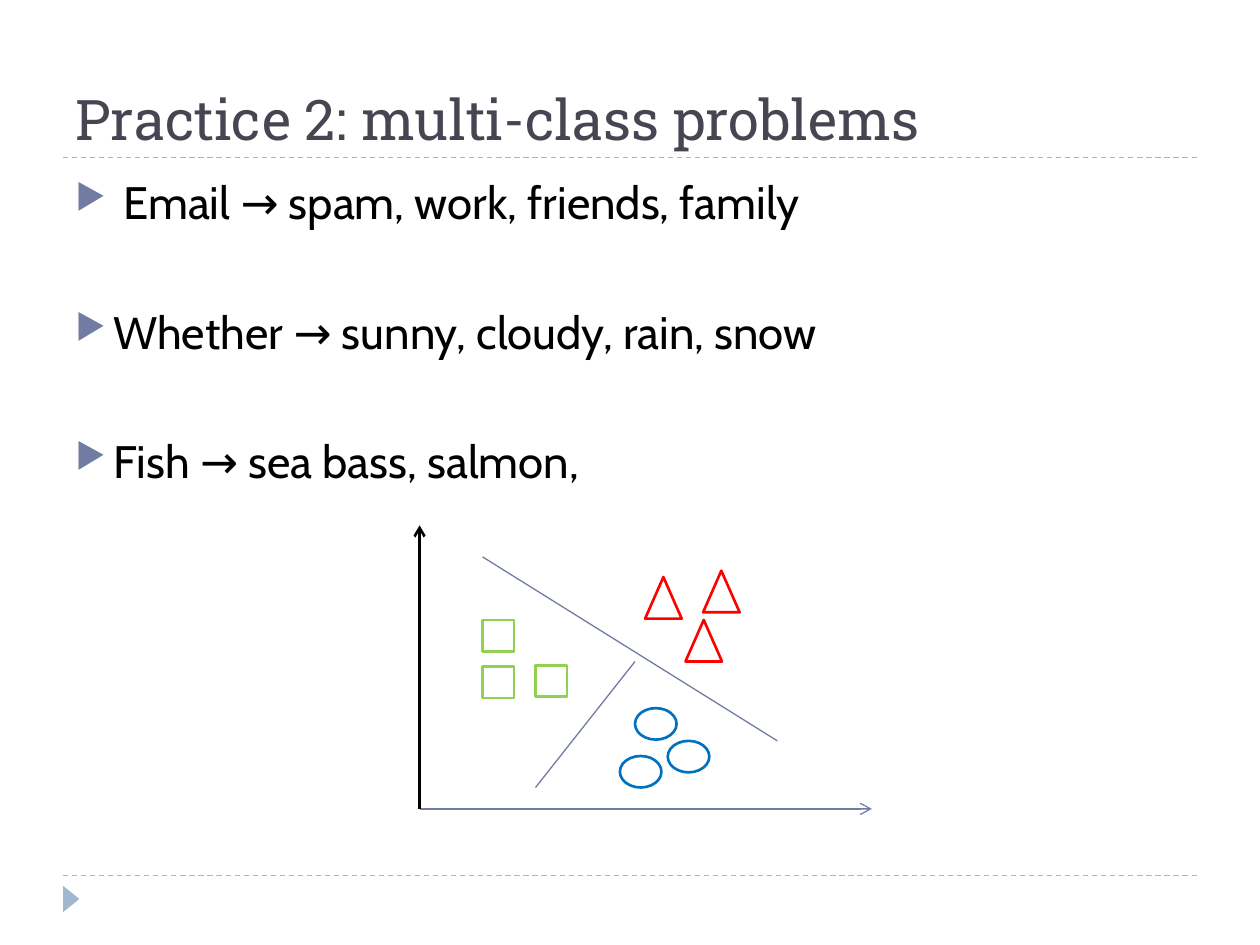
import pptx
import pptx.dml.color
import pptx.enum.dml
import pptx.enum.shapes
import pptx.enum.text
import pptx.oxml
import pptx.oxml.ns
import pptx.util

Inches = pptx.util.Inches
Pt = pptx.util.Pt
RGBColor = pptx.dml.color.RGBColor
Shape = pptx.enum.shapes.MSO_SHAPE
Anchor = pptx.enum.text.MSO_ANCHOR

WHITE = RGBColor(0xFF, 0xFF, 0xFF)
BLACK = RGBColor(0, 0, 0)
SLATE = RGBColor(0x46, 0x46, 0x53)
INDIGO = RGBColor(0x72, 0x7C, 0xA3)
MIST = RGBColor(0x9F, 0xB8, 0xCD)
GREEN = RGBColor(0x92, 0xD0, 0x50)
BLUE = RGBColor(0x00, 0x70, 0xC0)
RED = RGBColor(0xFF, 0, 0)

TITLE_FONT = {"name": "Roboto Slab", "size": Pt(32)}
BODY_FONT = {"name": "Cabin", "size": Pt(26)}

BULLETS = [
    " Email → spam, work, friends, family",
    "Whether → sunny, cloudy, rain, snow",
    "Fish → sea bass, salmon,",
]

# Each class: shape, colour, marker size, marker corners
CLASSES = [
    (Shape.RECTANGLE, GREEN, (0.25, 0.25), [(3.83, 4.92), (3.83, 5.29), (4.25, 5.28)]),
    (Shape.OVAL, BLUE, (0.33, 0.25), [(4.92, 6), (5.3, 5.88), (5.04, 5.62)]),
    (Shape.ISOSCELES_TRIANGLE, RED, (0.29, 0.33), [(5.12, 4.58), (5.58, 4.53), (5.44, 4.92)]),
]


def set_values(target, values):
    for name, value in values.items():
        setattr(target, name, value)


def add_xml(parent, tag, **attributes):
    child = pptx.oxml.ns.qn(tag)
    element = parent.makeelement(child, attributes)
    parent.append(element)
    return element


def add_text(page, place, lines, font, color, anchor=Anchor.TOP):
    box = page.shapes.add_textbox(*map(Inches, place))
    frame = box.text_frame
    set_values(frame, {"word_wrap": True, "vertical_anchor": anchor})
    for index, line in enumerate(lines):
        para = frame.paragraphs[0] if index == 0 else frame.add_paragraph()
        span = para.add_run()
        span.text = line
        set_values(span.font, font)
        span.font.color.rgb = color
    return frame


def add_bullet(para):
    properties = para._p.get_or_add_pPr()
    properties.set("marL", str(Inches(0.3)))
    properties.set("indent", str(Inches(-0.3)))
    bullet_color = add_xml(properties, "a:buClr")
    add_xml(bullet_color, "a:srgbClr", val=str(INDIGO))
    add_xml(properties, "a:buSzPct", val="76000")
    add_xml(properties, "a:buChar", char="▶")


def add_line(page, start, end, color, width=0.75, dashed=False, arrow=False):
    points = map(Inches, (*start, *end))
    line = page.shapes.add_connector(pptx.enum.shapes.MSO_CONNECTOR.STRAIGHT, *points)
    line.line.color.rgb = color
    line.line.width = Pt(width)
    if dashed:
        line.line.dash_style = pptx.enum.dml.MSO_LINE.DASH
    if arrow:
        add_xml(line.line._get_or_add_ln(), "a:tailEnd", type="arrow")
    add_xml(line._element.spPr, "a:effectLst")


def add_marker(page, kind, place, fill, outline=None):
    shape = page.shapes.add_shape(kind, *map(Inches, place))
    shape.shadow.inherit = False
    shape.fill.solid()
    shape.fill.fore_color.rgb = fill
    if outline is None:
        shape.line.fill.background()
    else:
        shape.line.color.rgb = outline
        shape.line.width = Pt(1.5)
    return shape


def add_frame(page):
    for height in (6.95, 1.25):
        add_line(page, (0.5, height), (9.5, height), MIST, dashed=True)
    corner = add_marker(page, Shape.ISOSCELES_TRIANGLE, (0.46, 7.07, 0.21, 0.13), MIST)
    corner.rotation = 90


def add_bullets(page):
    frame = add_text(page, (0.5, 1.33, 9, 5.4), BULLETS, BODY_FONT, BLACK)
    for index, para in enumerate(frame.paragraphs):
        para.space_before = Pt(43 if index else 0)
        add_bullet(para)


def add_plot(page):
    # Axes
    origin = (3.33, 6.42)
    add_line(page, origin, (6.92, 6.42), INDIGO, arrow=True)
    add_line(page, origin, (3.33, 4.17), BLACK, width=1.5, arrow=True)
    # Samples of each class
    for kind, color, size, corners in CLASSES:
        for corner in corners:
            add_marker(page, kind, (*corner, *size), WHITE, color)
    # Class boundaries
    add_line(page, (3.83, 4.42), (6.17, 5.88), INDIGO)
    add_line(page, (4.25, 6.25), (5.04, 5.25), INDIGO)


def main():
    deck = pptx.Presentation()
    set_values(deck, {"slide_width": Inches(10), "slide_height": Inches(7.5)})
    page = deck.slides.add_slide(deck.slide_layouts[6])
    add_frame(page)
    add_text(page, (0.5, 0.17, 9, 1.08), ["Practice 2: multi-class problems"],
             TITLE_FONT, SLATE, Anchor.BOTTOM)
    add_bullets(page)
    add_plot(page)
    deck.save("out.pptx")


if __name__ == "__main__":
    main()
